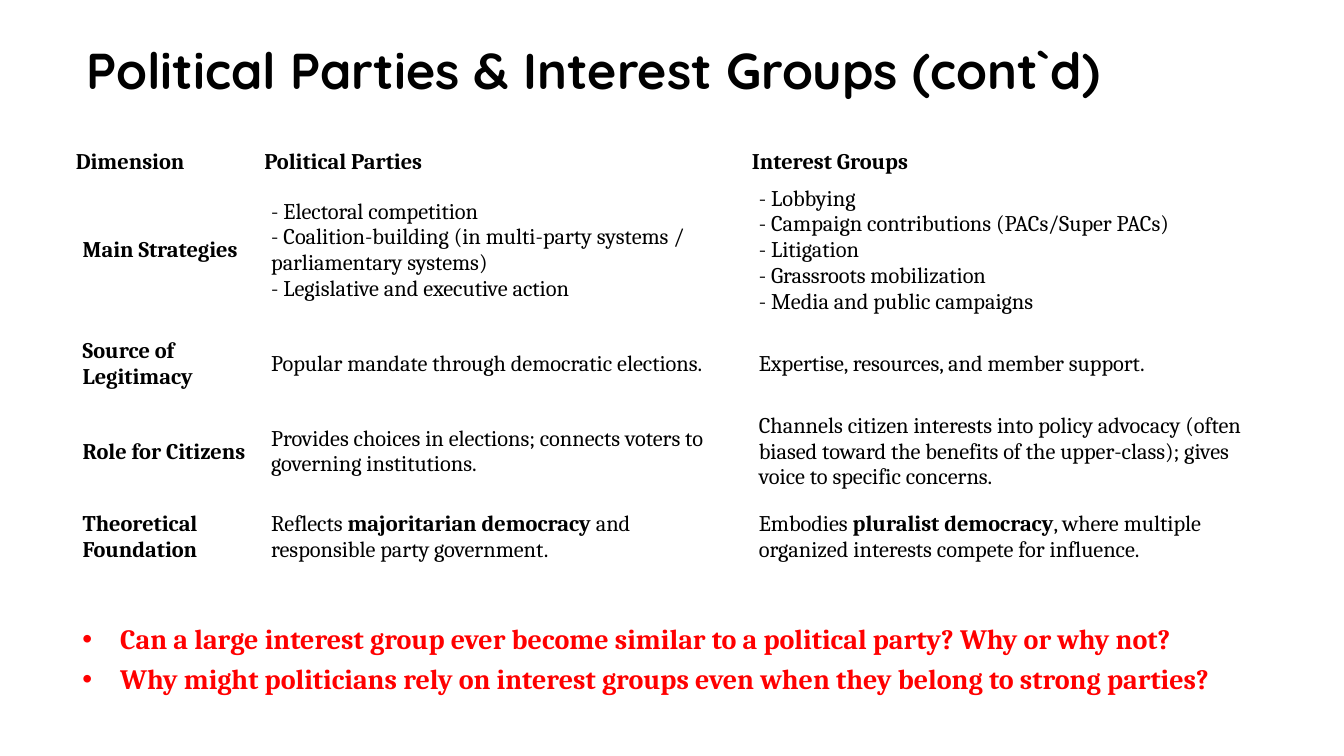
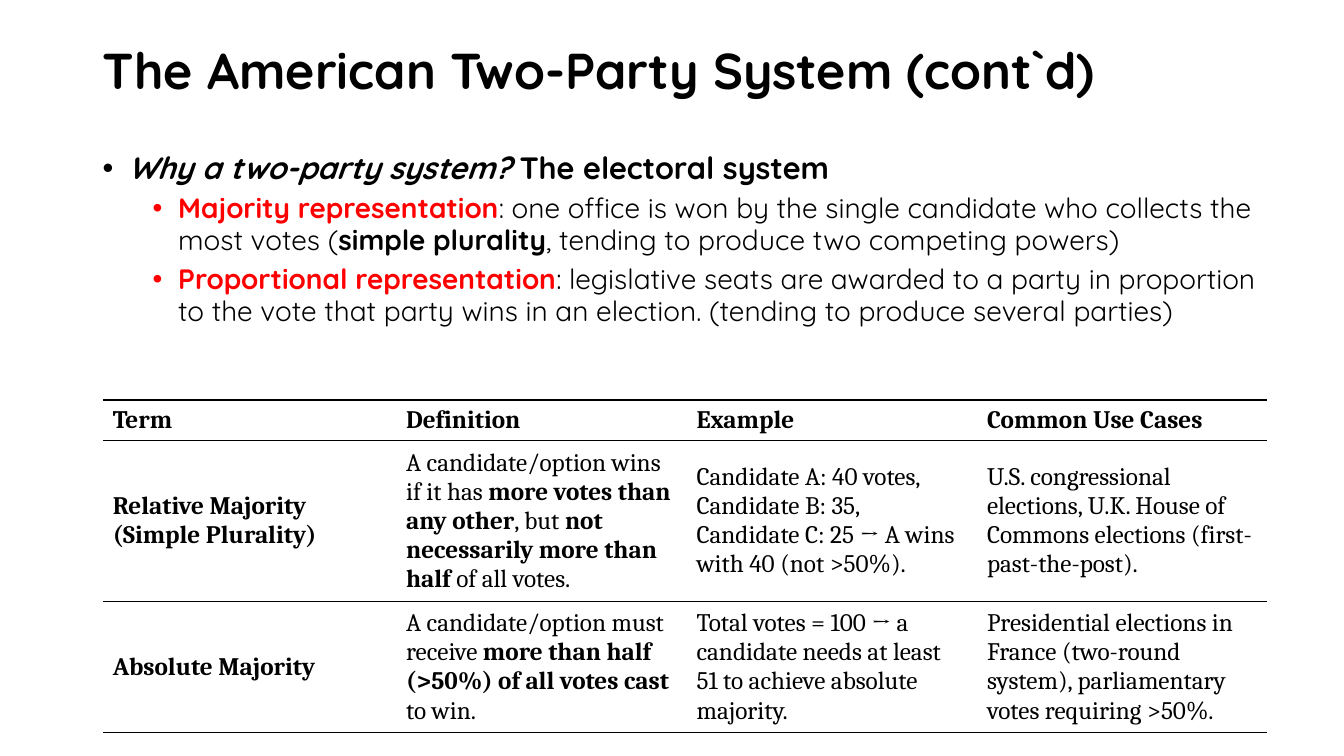
import lxml.etree
import pptx
import pptx.dml.color
import pptx.enum.text
import pptx.oxml.ns
import pptx.util

Cm = pptx.util.Cm
Pt = pptx.util.Pt
MIDDLE = pptx.enum.text.MSO_ANCHOR.MIDDLE
qn = pptx.oxml.ns.qn

BLACK = "000000"
RED = "FF0000"
HEADING_FONT = "Quicksand"
TEXT_FONT = "Cambria"


def write(para, markup, size, font, color=BLACK, bold=False, indent=None):
    """Write text with **bold** parts; an indent in cm (left, hanging) adds a bullet."""
    for number, text in enumerate(markup.split("**")):
        if text:
            span = para.add_run()
            span.text = text
            span.font.size = Pt(size)
            span.font.name = font
            span.font.bold = bold or number % 2 == 1
            span.font.color.rgb = pptx.dml.color.RGBColor.from_string(color)
    if indent:
        left, hanging = indent
        properties = para._p.get_or_add_pPr()
        properties.set("marL", str(Cm(left)))
        properties.set("indent", str(-Cm(hanging)))
        lxml.etree.SubElement(properties, qn("a:buFont"), typeface="Arial")
        lxml.etree.SubElement(properties, qn("a:buChar"), char="•")


def add_grid(slide, left, top, widths, heights, rows, size, ruled):
    """Add a plain table with bold headings in its first row and column."""
    frame = slide.shapes.add_table(len(rows), len(widths), Cm(left), Cm(top),
                                   Cm(sum(widths)), Cm(sum(heights)))
    table = frame.table
    table.first_row = False
    table.horz_banding = False
    for column, width in zip(table.columns, widths):
        column.width = Cm(width)
    for row, height in zip(table.rows, heights):
        row.height = Cm(height)
    for row_number, row in enumerate(rows):
        for column_number, text in enumerate(row):
            cell = table.cell(row_number, column_number)
            cell.vertical_anchor = MIDDLE
            cell.fill.background()
            for position, edge in enumerate(("a:lnL", "a:lnR", "a:lnT", "a:lnB")):
                line = lxml.etree.Element(qn(edge), w=str(Pt(1)))
                if ruled and position > 1:
                    fill = lxml.etree.SubElement(line, qn("a:solidFill"))
                    lxml.etree.SubElement(fill, qn("a:srgbClr"), val=BLACK)
                else:
                    lxml.etree.SubElement(line, qn("a:noFill"))
                cell._tc.get_or_add_tcPr().insert(position, line)
            for number, part in enumerate(text.split("\n")):
                paras = cell.text_frame.paragraphs
                para = cell.text_frame.add_paragraph() if number else paras[0]
                write(para, part, size, TEXT_FONT, bold=row_number == 0 or column_number == 0)
    return table


deck = pptx.Presentation()
deck.slide_width = Cm(33.87)
deck.slide_height = Cm(19.05)

# Titles
slides = []
for title, left in (("Political Parties & Interest Groups (cont`d)", 1.93),
                    ("The American Two-Party System (cont`d)", 2.34)):
    slide = deck.slides.add_slide(deck.slide_layouts[6])
    box = slide.shapes.add_textbox(Cm(left), 0, Cm(29.21), Cm(3.68))
    box.text_frame.word_wrap = True
    box.text_frame.vertical_anchor = MIDDLE
    para = box.text_frame.paragraphs[0]
    para.line_spacing = 0.9
    write(para, title, 36, HEADING_FONT, bold=True)
    slides.append(slide)
groups_slide, system_slide = slides

# Parties and interest groups compared
comparison = [
    ("Dimension", "Political Parties", "Interest Groups"),
    ("Main Strategies",
     "- Electoral competition\n"
     "- Coalition-building (in multi-party systems / parliamentary systems)\n"
     "- Legislative and executive action",
     "- Lobbying\n"
     "- Campaign contributions (PACs/Super PACs)\n"
     "- Litigation\n"
     "- Grassroots mobilization\n"
     "- Media and public campaigns"),
    ("Source of Legitimacy",
     "Popular mandate through democratic elections.",
     "Expertise, resources, and member support."),
    ("Role for Citizens",
     "Provides choices in elections; connects voters to governing institutions.",
     "Channels citizen interests into policy advocacy (often biased toward the benefits "
     "of the upper-class); gives voice to specific concerns."),
    ("Theoretical Foundation",
     "Reflects **majoritarian democracy** and responsible party government.",
     "Embodies **pluralist democracy**, where multiple organized interests compete "
     "for influence."),
]
table = add_grid(groups_slide, 1.83, 3.68, (4.75, 12.29, 13.08),
                 (0.81, 3.5, 2.11, 2.21, 2.01), comparison, 16, ruled=False)
for column_number in range(len(table.columns)):
    heading = table.cell(0, column_number)
    heading.margin_left = heading.margin_right = Cm(0.08)
    heading.margin_top = heading.margin_bottom = Cm(0.05)

# Questions for discussion
questions = (
    "Can a large interest group ever become similar to a political party? Why or why not?",
    "Why might politicians rely on interest groups even when they belong to strong parties?",
)
box = groups_slide.shapes.add_textbox(Cm(1.83), Cm(15.37), Cm(30.12), Cm(2.24))
box.text_frame.word_wrap = True
box.text_frame.auto_size = pptx.enum.text.MSO_AUTO_SIZE.SHAPE_TO_FIT_TEXT
for number, question in enumerate(questions):
    para = box.text_frame.add_paragraph() if number else box.text_frame.paragraphs[0]
    para.line_spacing = 1.2
    write(para, question, 20, TEXT_FONT, RED, bold=True, indent=(0.95, 0.95))

# Electoral system
points = (
    "**Why a two-party system? **The electoral system",
    "**Majority representation**: one office is won by the single candidate who collects "
    "the most votes (**simple plurality**, tending to produce two competing powers)",
    "**Proportional representation**: legislative seats are awarded to a party in proportion "
    "to the vote that party wins in an election. (tending to produce several parties)",
)
box = system_slide.shapes.add_textbox(Cm(2.34), Cm(3.68), Cm(29.57), Cm(14.27))
box.text_frame.word_wrap = True
for number, point in enumerate(points):
    para = box.text_frame.add_paragraph() if number else box.text_frame.paragraphs[0]
    para.line_spacing = 0.95
    if number == 0:
        para.space_before = Pt(10)
        write(para, point, 22, HEADING_FONT, bold=True, indent=(0.64, 0.64))
        para.runs[0].font.italic = True
    else:
        para.level = 1
        para.space_before = Pt(5)
        write(para, point, 20, HEADING_FONT, indent=(1.9, 0.64))
        para.runs[0].font.color.rgb = pptx.dml.color.RGBColor.from_string(RED)

# Kinds of majority
majorities = [
    ("Term", "Definition", "Example", "Common Use Cases"),
    ("Relative Majority (Simple Plurality)",
     "A candidate/option wins if it has **more votes than any other**, but "
     "**not necessarily more than half** of all votes.",
     "Candidate A: 40 votes, Candidate B: 35, Candidate C: 25 → A wins with 40 (not >50%).",
     "U.S. congressional elections, U.K. House of Commons elections (first-past-the-post)."),
    ("Absolute Majority",
     "A candidate/option must receive **more than half (>50%) of all votes cast** to win.",
     "Total votes = 100 → a candidate needs at least 51 to achieve absolute majority.",
     "Presidential elections in France (two-round system), parliamentary votes "
     "requiring >50%."),
]
add_grid(system_slide, 2.59, 10.08, (7.39, 7.32, 7.32, 7.32), (1, 3.9, 3.2),
         majorities, 18, ruled=True)

deck.save("out.pptx")
